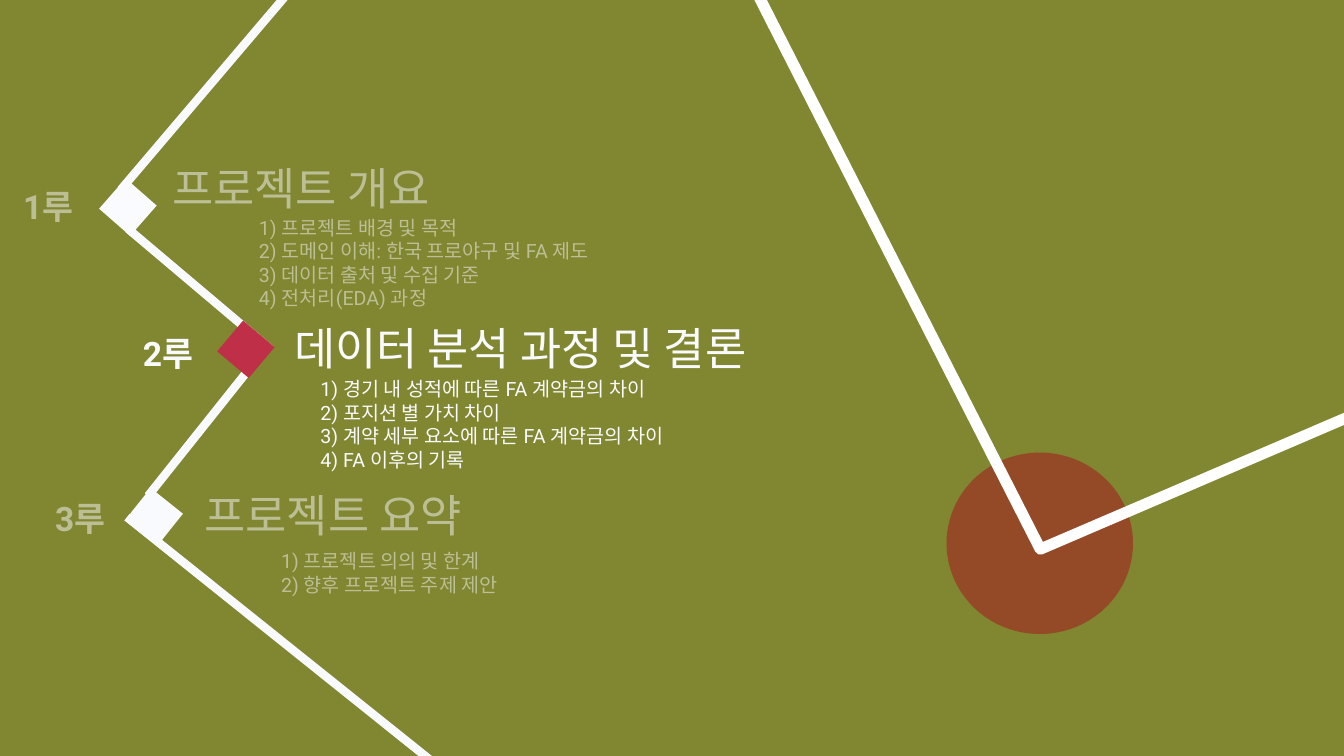
from lxml import etree
from pptx import Presentation
from pptx.dml.color import RGBColor
from pptx.enum.shapes import MSO_CONNECTOR as Conn, MSO_SHAPE as Kind
from pptx.enum.text import MSO_AUTO_SIZE as Auto
from pptx.oxml.ns import qn
from pptx.util import Pt

HUES = {
    "grass": "818630",
    "clay": "944A27",
    "chalk": "FFFFFF",
    "text": "F9FAFD",
    "base": "F9FBFE",
    "red": "BF2F47",
}


class Board:
    font = "Roboto"

    def __init__(self, deck):
        self.slide = deck.slides.add_slide(deck.slide_layouts[6])
        self.shapes = self.slide.shapes
        self.paint(self.slide.background.fill, "grass")

    def paint(self, fill, hue):
        fill.solid()
        fill.fore_color.rgb = RGBColor.from_string(HUES[hue])

    def shape(self, kind, box, fill=None, line=None, turn=0, alpha=None):
        item = self.shapes.add_shape(kind, *map(Pt, box))
        item.shadow.inherit = False
        item.rotation = turn
        if fill:
            self.paint(item.fill, fill)
        else:
            item.fill.background()
        if line:
            self.paint(item.line.fill, line)
            item.line.width = Pt(8)
        else:
            item.line.fill.background()
        if alpha:
            tint = item.fill._xPr.find(".//" + qn("a:srgbClr"))
            etree.SubElement(tint, qn("a:alpha"), val=str(alpha * 1000))

    def line(self, x1, y1, x2, y2):
        item = self.shapes.add_connector(
            Conn.STRAIGHT, Pt(x1), Pt(y1), Pt(x2), Pt(y2))
        self.paint(item.line.fill, "text")
        item.line.width = Pt(6)
        etree.SubElement(item._element.spPr, qn("a:effectLst"))

    def text(self, box, rows, size, bold=False):
        frame = self.shapes.add_textbox(*map(Pt, box)).text_frame
        frame.word_wrap = True
        frame.auto_size = Auto.SHAPE_TO_FIT_TEXT
        frame.text = "\n".join(rows)
        for para in frame.paragraphs:
            font = para.font
            font.name, font.size, font.bold = self.font, Pt(size), bold
            font.color.rgb = RGBColor.from_string(HUES["text"])


# Label, title and list of each base, with their top left corners
STOPS = [
    ("1루", (9.4, 129.6), "프로젝트 개요", (115.9, 110.9), (177.8, 150.5), [
        "1) 프로젝트 배경 및 목적",
        "2) 도메인 이해: 한국 프로야구 및 FA 제도",
        "3) 데이터 출처 및 수집 기준",
        "4) 전처리(EDA) 과정"]),
    ("2루", (95, 234), "데이터 분석 과정 및 결론", (203, 225.4), (221.8, 265.7), [
        "1) 경기 내 성적에 따른 FA 계약금의 차이",
        "2) 포지션 별 가치 차이",
        "3) 계약 세부 요소에 따른 FA 계약금의 차이",
        "4) FA 이후의 기록"]),
    ("3루", (32.4, 352.1), "프로젝트 요약", (139, 344.9), (193.7, 388.8), [
        "1) 프로젝트 의의 및 한계",
        "2) 향후 프로젝트 주제 제안"]),
]
VEILS = [(0, 81.4), (19.4, 343.4)]
PATHS = [
    (208.8, -8.6, 86.4, 135.4),
    (91.4, 163.4, 193.7, 249.8),
    (178.6, 262.8, 105.8, 354.2),
    (90.7, 369.4, 319, 552.2),
]
BASES = [
    (77, 133.2, 311.2, "base"),
    (95.8, 354.2, 308.6, "text"),
    (161.3, 234.7, 310.1, "red"),
]


def main():
    deck = Presentation()
    deck.slide_width, deck.slide_height = Pt(960), Pt(540)
    board = Board(deck)

    # Home plate and foul lines
    board.shape(Kind.OVAL, (676.1, 323.3, 133.2, 129.6), "clay")
    board.shape(Kind.DIAMOND, (474.5, -425.5, 814.3, 869.8),
                line="chalk", turn=109.9)

    # Agenda
    for label, spot, title, head, start, rows in STOPS:
        board.text((*spot, 89.3, 36), [label], 24, True)
        board.text((*head, 405.4, 46), [title], 32)
        board.text((*start, 533.5, 7 + 17 * len(rows)), rows, 14)

    # Veils that dim the other two parts
    for spot in VEILS:
        board.shape(Kind.RECTANGLE, (*spot, 560.9, 146.2), "grass", alpha=50)

    # Base path
    for ends in PATHS:
        board.line(*ends)
    for x, y, turn, hue in BASES:
        board.shape(Kind.RECTANGLE, (x, y, 28.8, 29.5), hue, turn=turn)

    deck.save("out.pptx")


if __name__ == "__main__":
    main()
